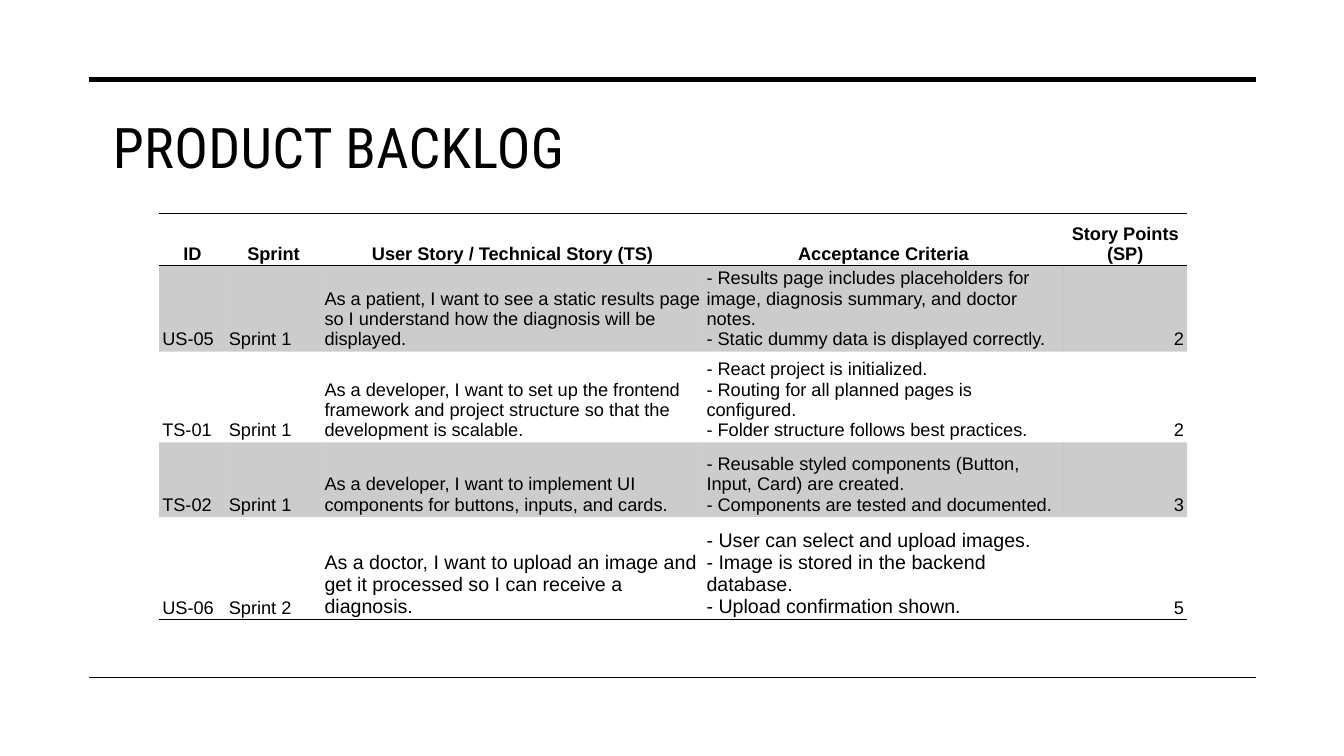
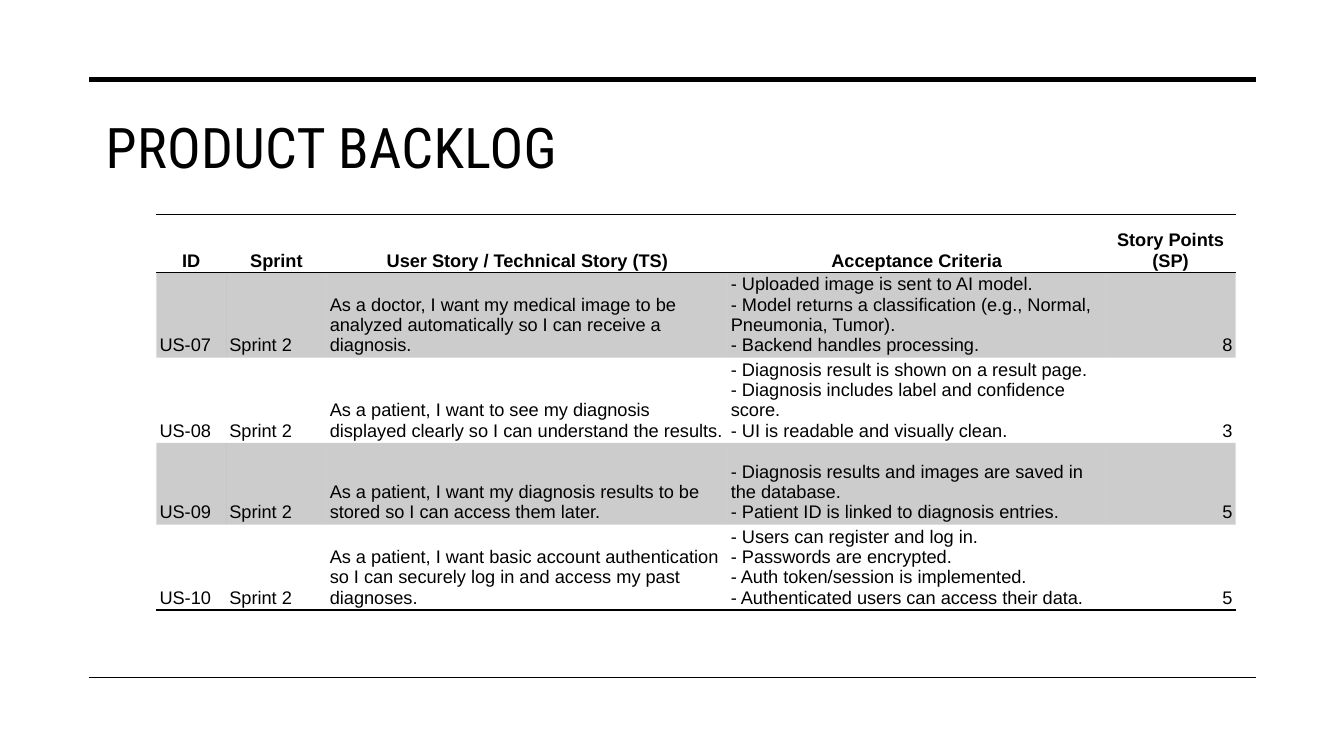
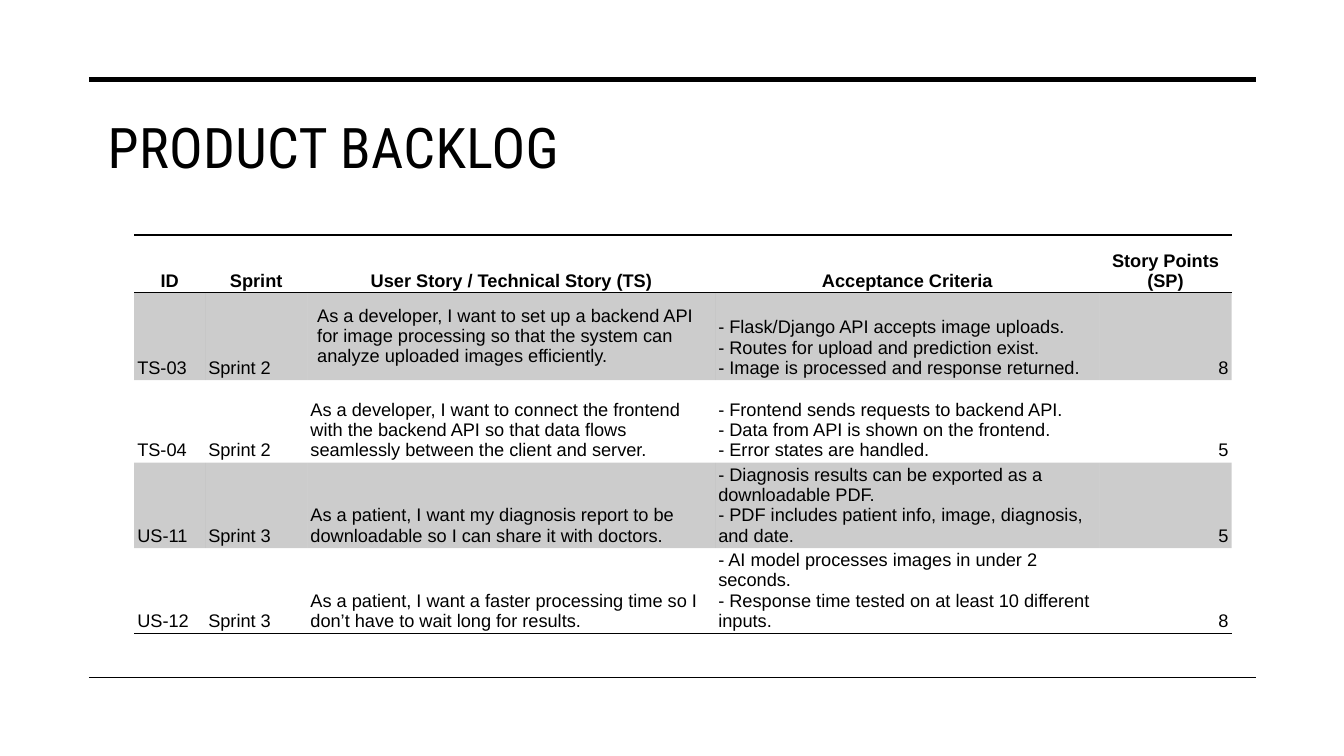
import dataclasses

import lxml.etree
import pptx
import pptx.dml.color
import pptx.enum.shapes
import pptx.enum.text
import pptx.oxml.ns
import pptx.util

Cm = pptx.util.Cm
Pt = pptx.util.Pt
Align = pptx.enum.text.PP_ALIGN
Anchor = pptx.enum.text.MSO_ANCHOR
qn = pptx.oxml.ns.qn

# Content
TITLE = "PRODUCT BACKLOG"
HEADINGS = ["ID", "Sprint", "User Story / Technical Story (TS)",
            "Acceptance Criteria", "Story Points (SP)"]
BACKLOG_PAGES = [
    {
        "title_left": 2.59, "left": 4.01, "top": 5.38, "width": 25.91,
        "heights": [1.32, 2.16, 2.29, 1.88, 2.59],
        "stories": [
            ("US-05", "Sprint 1",
             "As a patient, I want to see a static results page so I understand "
             "how the diagnosis will be displayed.",
             ["- Results page includes placeholders for image, diagnosis summary, "
              "and doctor notes.",
              "- Static dummy data is displayed correctly."], 2),
            ("TS-01", "Sprint 1",
             "As a developer, I want to set up the frontend framework and project "
             "structure so that the development is scalable.",
             ["- React project is initialized.",
              "- Routing for all planned pages is configured.",
              "- Folder structure follows best practices."], 2),
            ("TS-02", "Sprint 1",
             "As a developer, I want to implement UI components for buttons, "
             "inputs, and cards.",
             ["- Reusable styled components (Button, Input, Card) are created.",
              "- Components are tested and documented."], 3),
            ("US-06", "Sprint 2",
             "As a doctor, I want to upload an image and get it processed so I "
             "can receive a diagnosis.",
             ["- User can select and upload images.",
              "- Image is stored in the backend database.",
              "- Upload confirmation shown."], 5),
        ],
    },
    {
        "title_left": 2.41, "left": 3.94, "top": 5.41, "width": 27.2,
        "heights": [1.45, 2.15, 2.15, 2.06, 2.15],
        "stories": [
            ("US-07", "Sprint 2",
             "As a doctor, I want my medical image to be analyzed automatically "
             "so I can receive a diagnosis.",
             ["- Uploaded image is sent to AI model.",
              "- Model returns a classification (e.g., Normal, Pneumonia, Tumor).",
              "- Backend handles processing."], 8),
            ("US-08", "Sprint 2",
             "As a patient, I want to see my diagnosis displayed clearly so I can "
             "understand the results.",
             ["- Diagnosis result is shown on a result page.",
              "- Diagnosis includes label and confidence score.",
              "- UI is readable and visually clean."], 3),
            ("US-09", "Sprint 2",
             "As a patient, I want my diagnosis results to be stored so I can "
             "access them later.",
             ["- Diagnosis results and images are saved in the database.",
              "- Patient ID is linked to diagnosis entries."], 5),
            ("US-10", "Sprint 2",
             "As a patient, I want basic account authentication so I can securely "
             "log in and access my past diagnoses.",
             ["- Users can register and log in.",
              "- Passwords are encrypted.",
              "- Auth token/session is implemented.",
              "- Authenticated users can access their data."], 5),
        ],
    },
    {
        "title_left": 2.46, "left": 3.38, "top": 5.92, "width": 27.66,
        "heights": [1.45, 2.21, 2.08, 2.15, 2.15],
        "stories": [
            ("TS-03", "Sprint 2",
             "As a developer, I want to set up a backend API for image processing "
             "so that the system can analyze uploaded images efficiently.",
             ["- Flask/Django API accepts image uploads.",
              "- Routes for upload and prediction exist.",
              "- Image is processed and response returned."], 8),
            ("TS-04", "Sprint 2",
             "As a developer, I want to connect the frontend with the backend API "
             "so that data flows seamlessly between the client and server.",
             ["- Frontend sends requests to backend API.",
              "- Data from API is shown on the frontend.",
              "- Error states are handled."], 5),
            ("US-11", "Sprint 3",
             "As a patient, I want my diagnosis report to be downloadable so I "
             "can share it with doctors.",
             ["- Diagnosis results can be exported as a downloadable PDF.",
              "- PDF includes patient info, image, diagnosis, and date."], 5),
            ("US-12", "Sprint 3",
             "As a patient, I want a faster processing time so I don’t have to "
             "wait long for results.",
             ["- AI model processes images in under 2 seconds.",
              "- Response time tested on at least 10 different inputs."], 8),
        ],
    },
]
LARGE_TEXT_STORIES = {"US-06"}
CENTRED_STORIES = {"TS-03"}

# Layout rules
COLUMN_SHARES = [6.47, 9.31, 37.16, 35, 12.06]  # percent of the table width
COLUMN_ALIGN = [Align.LEFT] * 4 + [Align.RIGHT]
STORY_COLUMN, CRITERIA_COLUMN = 2, 3
HEADING_MARGINS = (0.03, 0.03)  # side, top and bottom
BODY_MARGINS = (0.08, 0.05)
ROOMY_MARGINS = (0.25, 0.13)
RULES = [(2.01, 3.5), (17.07, 1)]  # height on the page, weight
RULE_LEFT, RULE_RIGHT = 2.24, 31.65
PLAIN_TABLE_STYLE = "{2D5ABB26-0587-4C30-8999-92F81FD0307C}"


@dataclasses.dataclass(frozen=True)
class Theme:
    ink: str = "000000"
    band_opacity: int = 20
    title_font: str = "Roboto Condensed"
    body_font: str = "Arial"
    title_size: int = 40
    body_size: int = 13
    large_size: int = 14
    title_spacing: float = 0.3
    border: int = 1


THEME = Theme()
INK = pptx.dml.color.RGBColor.from_string(THEME.ink)


def write(frame, lines, *, font=THEME.body_font, size=THEME.body_size,
          bold=False, align=Align.LEFT, spacing=0):
    """Fill a text frame with one paragraph for each line."""
    frame.word_wrap = True
    for index, line in enumerate(lines):
        para = frame.add_paragraph() if index else frame.paragraphs[0]
        para.alignment = align
        span = para.add_run()
        span.text = line
        span.font.name = font
        span.font.size = Pt(size)
        span.font.bold = bold
        span.font.color.rgb = INK
        if spacing:
            span.font._element.set("spc", str(round(spacing * 100)))


def add_rules(layout, page):
    """Draw the two page rules and hand them over to the shared layout."""
    for index, (height, weight) in enumerate(RULES):
        rule = page.shapes.add_connector(
            pptx.enum.shapes.MSO_CONNECTOR.STRAIGHT,
            Cm(RULE_LEFT), Cm(height), Cm(RULE_RIGHT), Cm(height))
        rule.line.color.rgb = INK
        rule.line.width = Pt(weight)
        lxml.etree.SubElement(rule.element.spPr, qn("a:effectLst"))
        rule.element.nvCxnSpPr.cNvPr.set("id", str(100 + index))
        layout.shapes.element.append(rule.element)


def add_title(page, left):
    box = page.shapes.title
    box.left, box.top, box.width, box.height = Cm(left), Cm(2.64), Cm(16.56), Cm(2.08)
    box.text_frame.auto_size = pptx.enum.text.MSO_AUTO_SIZE.NONE
    box.text_frame.vertical_anchor = Anchor.MIDDLE
    write(box.text_frame, [TITLE], font=THEME.title_font, size=THEME.title_size,
          spacing=THEME.title_spacing)


def set_cell(cell, lines, *, margins=BODY_MARGINS, anchor=Anchor.BOTTOM,
             band=False, borders=(), **text_format):
    side, edge = margins
    cell.margin_left = cell.margin_right = Cm(side)
    cell.margin_top = cell.margin_bottom = Cm(edge)
    cell.vertical_anchor = anchor
    write(cell.text_frame, lines, **text_format)
    if band:
        cell.fill.solid()
        cell.fill.fore_color.rgb = INK
        colour = cell._tc.tcPr.find(".//" + qn("a:srgbClr"))
        lxml.etree.SubElement(colour, qn("a:alpha"), val=str(THEME.band_opacity * 1000))
    else:
        cell.fill.background()
    # Border elements come before the fill
    for index, name in enumerate(borders):
        line = lxml.etree.Element(qn(name), w=str(Pt(THEME.border)))
        solid = lxml.etree.SubElement(line, qn("a:solidFill"))
        lxml.etree.SubElement(solid, qn("a:srgbClr"), val=THEME.ink)
        cell._tc.tcPr.insert(index, line)


def add_backlog(page, content):
    stories, heights, width = content["stories"], content["heights"], content["width"]
    table = page.shapes.add_table(
        len(heights), len(HEADINGS), Cm(content["left"]), Cm(content["top"]),
        Cm(width), Cm(sum(heights))).table
    table.first_row = table.horz_banding = False
    table._tbl.tblPr.find(qn("a:tableStyleId")).text = PLAIN_TABLE_STYLE
    for column, share in zip(table.columns, COLUMN_SHARES):
        column.width = Cm(width * share / 100)
    for row, height in zip(table.rows, heights):
        row.height = Cm(height)

    for column, heading in enumerate(HEADINGS):
        set_cell(table.cell(0, column), [heading], margins=HEADING_MARGINS,
                 borders=("a:lnT", "a:lnB"), bold=True, align=Align.CENTER)

    for row, story in enumerate(stories, start=1):
        for column, value in enumerate(story):
            lines = value if column == CRITERIA_COLUMN else [str(value)]
            large = (story[0] in LARGE_TEXT_STORIES
                     and column in (STORY_COLUMN, CRITERIA_COLUMN))
            centred = story[0] in CENTRED_STORIES and column == STORY_COLUMN
            set_cell(table.cell(row, column), lines,
                     margins=ROOMY_MARGINS if centred else BODY_MARGINS,
                     anchor=Anchor.MIDDLE if centred else Anchor.BOTTOM,
                     band=row % 2 == 1,
                     borders=("a:lnB",) if row == len(stories) else (),
                     size=THEME.large_size if large else THEME.body_size,
                     align=COLUMN_ALIGN[column])


def main():
    deck = pptx.Presentation()
    deck.slide_width, deck.slide_height = Cm(33.87), Cm(19.05)
    layout = deck.slide_layouts.get_by_name("Title Only")
    for index, content in enumerate(BACKLOG_PAGES):
        page = deck.slides.add_slide(layout)
        if index == 0:
            add_rules(layout, page)
        add_backlog(page, content)
        add_title(page, content["title_left"])
    deck.save("out.pptx")


if __name__ == "__main__":
    main()
